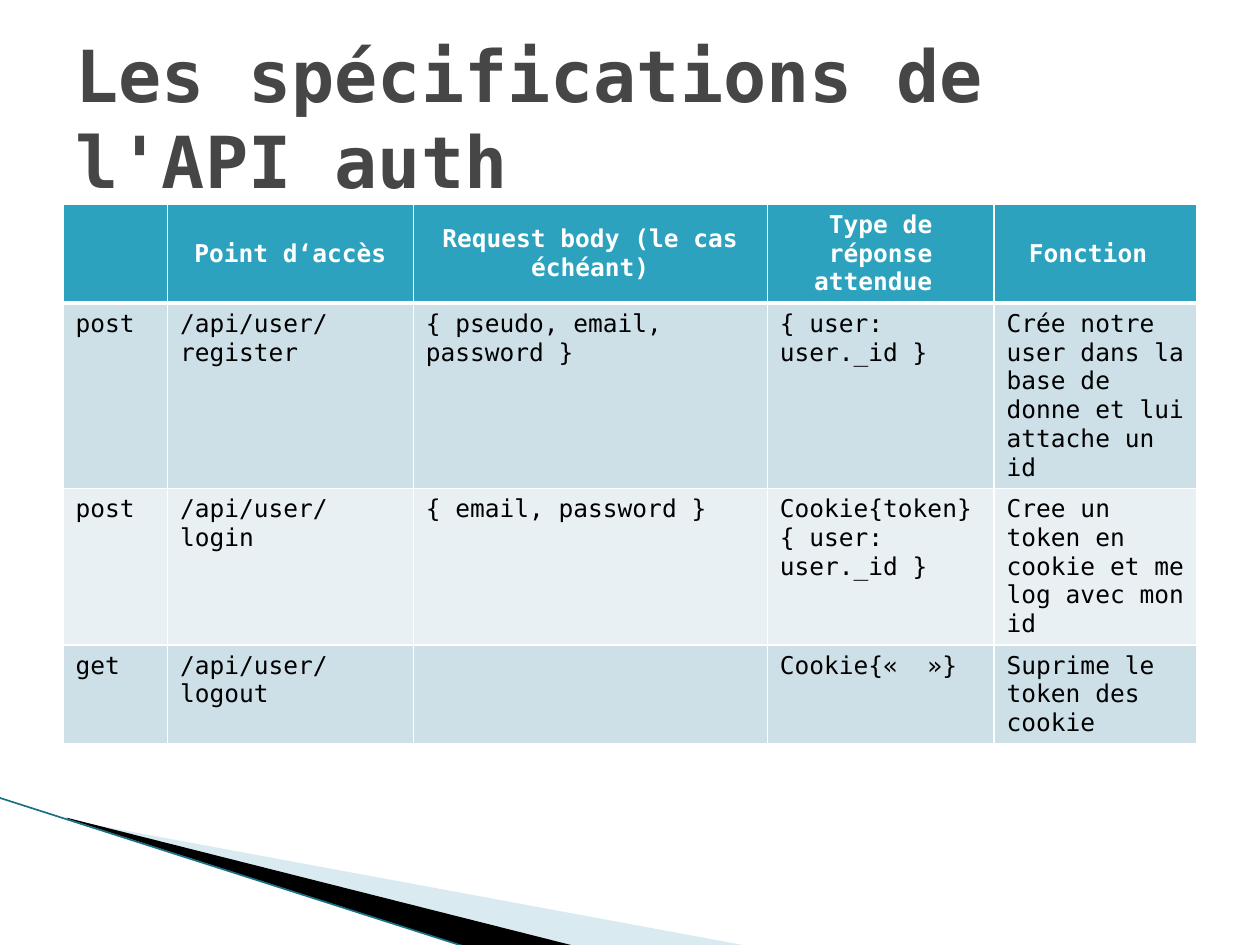
from lxml.etree import SubElement
from pptx import Presentation
from pptx.dml.color import RGBColor
from pptx.enum.shapes import MSO_CONNECTOR
from pptx.enum.text import MSO_ANCHOR, MSO_AUTO_SIZE, PP_ALIGN
from pptx.oxml import parse_xml
from pptx.oxml.ns import nsdecls, qn
from pptx.util import Inches, Pt

FONT = "DejaVu Sans Mono"
COLORS = {
    "title": "464646", "header": "2DA2BF", "white": "FFFFFF", "black": "000000",
    "odd_row": "CDE0E8", "even_row": "E8F0F4", "pale_wedge": "A0CBDC", "edge": "1A7085",
}
COLUMN_WIDTHS = [0.83, 1.95, 2.81, 1.8, 1.61]
ROW_HEIGHT = 0.41
ROWS = [
    ["", "Point d‘accès", "Request body (le cas échéant)", "Type de réponse attendue ", "Fonction "],
    ["post", "/api/user/register", "{ pseudo, email, password }", "{ user: user._id }",
     "Crée notre user dans la base de donne et lui attache un id"],
    ["post", "/api/user/login", "{ email, password }", "Cookie{token}\n{ user: user._id }",
     "Cree un token en cookie et me log avec mon id"],
    ["get", "/api/user/logout", "", "Cookie{«  »}", "Suprime le token des cookie"],
]


def color(name):
    """Return the named colour of the palette."""
    return RGBColor.from_string(COLORS[name])


def format_text(frame, size, color_name, bold, align):
    """Format every run of a text frame alike."""
    for para in frame.paragraphs:
        para.alignment = align
        for span in para.runs:
            span.font.name = FONT
            span.font.size = Pt(size)
            span.font.bold = bold
            span.font.color.rgb = color(color_name)


def set_borders(cell, top, bottom):
    """Give a cell white borders, one point wide at the sides."""
    properties = cell._tc.get_or_add_tcPr()
    widths = {"lnL": 1, "lnR": 1, "lnT": top, "lnB": bottom}
    for index, (side, width) in enumerate(widths.items()):
        border = parse_xml(
            f'<a:{side} {nsdecls("a")} w="{Pt(width)}"><a:solidFill>'
            f'<a:srgbClr val="{COLORS["white"]}"/></a:solidFill></a:{side}>')
        properties.insert(index, border)


def add_wedge(page, points, color_name, opacity=100):
    """Draw a filled outline through points given in inches."""
    corners = [(Inches(x), Inches(y)) for x, y in points]
    builder = page.shapes.build_freeform(*corners[0])
    builder.add_line_segments(corners[1:], close=True)
    wedge = builder.convert_to_shape()
    wedge.shadow.inherit = False
    wedge.line.fill.background()
    wedge.fill.solid()
    wedge.fill.fore_color.rgb = color(color_name)
    if opacity < 100:
        fill_color = wedge._element.spPr.find(f".//{qn('a:srgbClr')}")
        SubElement(fill_color, qn("a:alpha")).set("val", str(opacity * 1000))


def add_corner(page, left, top):
    """Draw the wedges and edge line that sweep from the left to the bottom."""
    pale = [(0.56, 0.18), (5.96, 1.18), (4.57, 1.18), (0.56, 0.17)]
    dark = [(0.54, 0.16), (4.58, 1.18), (3.73, 1.19), (0.55, 0.17)]
    add_wedge(page, [(left + x, top + y) for x, y in pale], "pale_wedge", 40)
    add_wedge(page, [(left + x, top + y) for x, y in dark], "black")
    edge = page.shapes.add_connector(
        MSO_CONNECTOR.STRAIGHT, Inches(left), Inches(top), Inches(left + 3.72), Inches(top + 1.19))
    edge.line.color.rgb = color("edge")
    edge.line.width = Pt(0.95)
    SubElement(edge._element.spPr, qn("a:effectLst"))


def add_title(page, left, top, width, height):
    """Place and format the title placeholder."""
    title = page.shapes.title
    title.left, title.top = Inches(left), Inches(top)
    title.width, title.height = Inches(width), Inches(height)
    frame = title.text_frame
    frame.text = "Les spécifications de l'API auth"
    frame.word_wrap = True
    frame.auto_size = MSO_AUTO_SIZE.NONE
    frame.vertical_anchor = MSO_ANCHOR.MIDDLE
    format_text(frame, 41, "title", True, PP_ALIGN.LEFT)


def add_endpoint_table(page, left, top):
    """Add the table of endpoints with its header and banded rows."""
    table = page.shapes.add_table(
        len(ROWS), len(COLUMN_WIDTHS), Inches(left), Inches(top),
        Inches(sum(COLUMN_WIDTHS)), Inches(ROW_HEIGHT * len(ROWS))).table
    for column, width in zip(table.columns, COLUMN_WIDTHS):
        column.width = Inches(width)
    for row_index, texts in enumerate(ROWS):
        table.rows[row_index].height = Inches(ROW_HEIGHT)
        header = row_index == 0
        fill = "header" if header else "odd_row" if row_index % 2 else "even_row"
        for column_index, text in enumerate(texts):
            cell = table.cell(row_index, column_index)
            cell.fill.solid()
            cell.fill.fore_color.rgb = color(fill)
            set_borders(cell, 3 if row_index == 1 else 1, 3 if header else 1)
            cell.vertical_anchor = MSO_ANCHOR.MIDDLE if header else MSO_ANCHOR.TOP
            cell.text_frame.text = text
            format_text(cell.text_frame, 14, "white" if header else "black", header,
                        PP_ALIGN.CENTER if header else PP_ALIGN.LEFT)


def main():
    """Build the slide and save the deck."""
    deck = Presentation()
    deck.slide_width, deck.slide_height = Inches(10), Inches(7.5)
    page = deck.slides.add_slide(deck.slide_layouts[5])
    add_corner(page, -0.01, 6.33)
    add_endpoint_table(page, 0.5, 1.62)
    add_title(page, 0.5, 0.3, 9, 1.25)
    deck.save("out.pptx")


if __name__ == "__main__":
    main()
